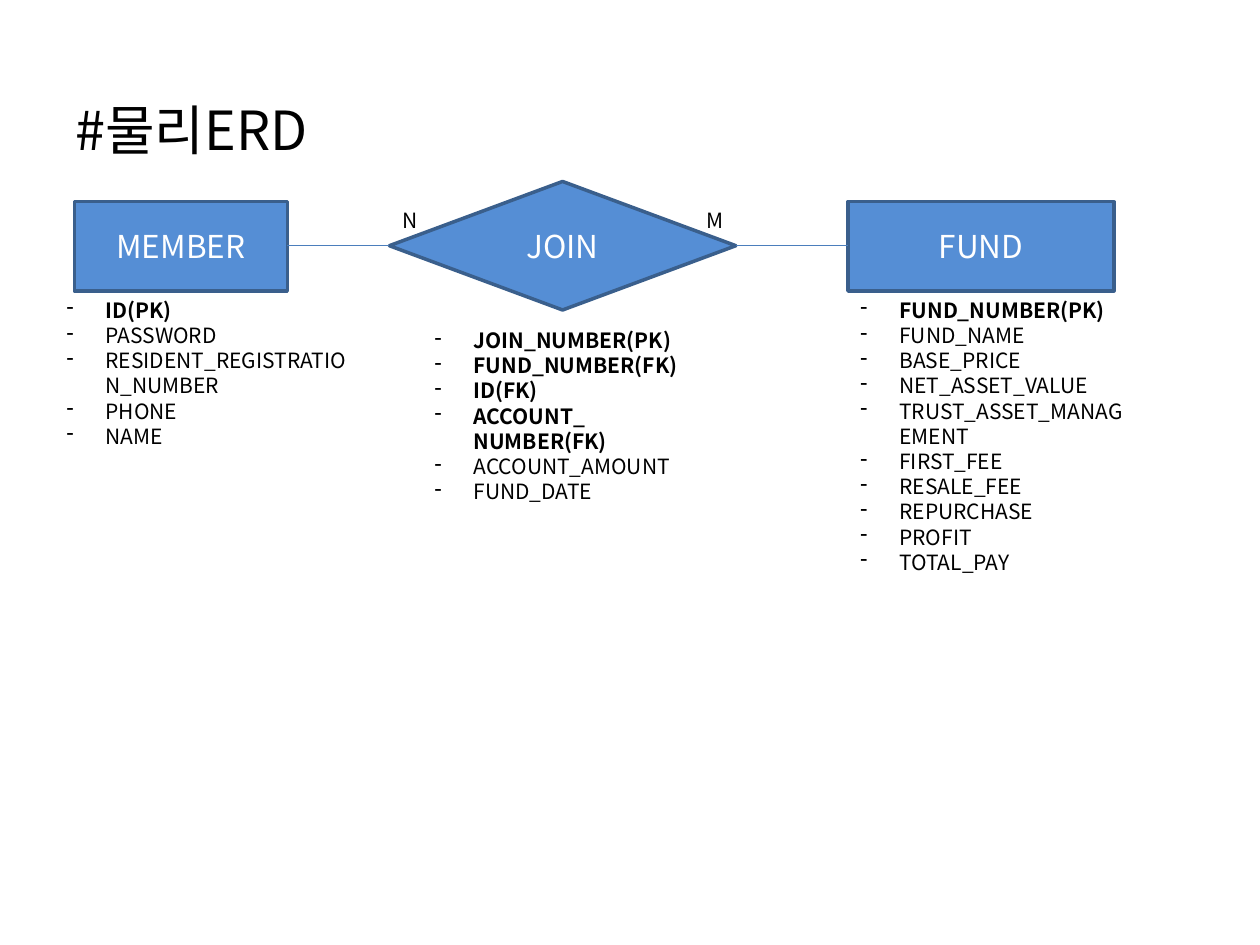
"""Build the physical ERD slide: two entities, their relationship and fields."""
import pptx
import pptx.util
import pptx.dml.color
import pptx.enum.shapes
import pptx.enum.text
import pptx.oxml.ns
import lxml.etree

Inches = pptx.util.Inches
Pt = pptx.util.Pt
Shape = pptx.enum.shapes.MSO_SHAPE
Align = pptx.enum.text.PP_ALIGN
Anchor = pptx.enum.text.MSO_ANCHOR
qn = pptx.oxml.ns.qn

theme = {
    "font": "Noto Sans CJK KR",
    "fill": "558ED5", "edge": "3A5F8C", "link": "4B7EBC",
    "light": "FFFFFF", "dark": "000000",
    "title": 30.8, "name": 18, "body": 12,
}


def color(key):
    return pptx.dml.color.RGBColor.from_string(theme[key])


def write(par, text, size, ink="dark", bold=False):
    run = par.add_run()
    run.text = text
    run.font.name = theme["font"]
    run.font.size = Pt(theme[size])
    run.font.bold = bold
    run.font.color.rgb = color(ink)
    east = lxml.etree.SubElement(run.font._element, qn("a:ea"))
    east.set("typeface", theme["font"])


deck = pptx.Presentation()
deck.slide_width, deck.slide_height = Inches(10), Inches(7.5)
slide = deck.slides.add_slide(deck.slide_layouts[6])
shapes = slide.shapes

nodes = [
    ("MEMBER", Shape.RECTANGLE, (0.59, 1.6, 1.69, 0.71), (0.43, 2.31, 2.52, 1.31),
     ["ID(PK)", "PASSWORD", "RESIDENT_REGISTRATION_NUMBER", "PHONE", "NAME"]),
    ("JOIN", Shape.DIAMOND, (3.09, 1.44, 2.75, 1.02), (3.35, 2.55, 2.49, 1.51),
     ["JOIN_NUMBER(PK)", "FUND_NUMBER(FK)", "ID(FK)", "ACCOUNT_ NUMBER(FK)",
      "ACCOUNT_AMOUNT", "FUND_DATE"]),
    ("FUND", Shape.RECTANGLE, (6.73, 1.6, 2.11, 0.71), (6.73, 2.31, 2.36, 2.32),
     ["FUND_NUMBER(PK)", "FUND_NAME", "BASE_PRICE", "NET_ASSET_VALUE",
      "TRUST_ASSET_MANAGEMENT", "FIRST_FEE", "RESALE_FEE", "REPURCHASE",
      "PROFIT", "TOTAL_PAY"]),
]

for name, kind, place, area, fields in nodes:
    node = shapes.add_shape(kind, *map(Inches, place))
    node.shadow.inherit = False
    node.fill.solid()
    node.fill.fore_color.rgb = color("fill")
    node.line.color.rgb = color("edge")
    node.line.width = Pt(2)
    node.text_frame.vertical_anchor = Anchor.MIDDLE
    par = node.text_frame.paragraphs[0]
    par.alignment = Align.CENTER
    write(par, name, "name", "light")

    frame = shapes.add_textbox(*map(Inches, area)).text_frame
    frame.word_wrap = True
    for rank, field in enumerate(fields):
        par = frame.paragraphs[0] if rank == 0 else frame.add_paragraph()
        props = par._p.get_or_add_pPr()
        props.set("marL", str(Inches(0.31)))
        props.set("indent", str(Inches(-0.31)))
        lxml.etree.SubElement(props, qn("a:buFontTx"))
        lxml.etree.SubElement(props, qn("a:buChar")).set("char", "-")
        write(par, field, "body", bold=field.endswith(("(PK)", "(FK)")))

mid = Inches(1.95)
for (_, _, start, _, _), (_, _, end, _, _) in zip(nodes, nodes[1:]):
    link = shapes.add_connector(pptx.enum.shapes.MSO_CONNECTOR.STRAIGHT,
                                Inches(start[0] + start[2]), mid, Inches(end[0]), mid)
    link.line.color.rgb = color("link")
    link.line.width = Pt(0.75)
    lxml.etree.SubElement(link._element.spPr, qn("a:effectLst"))

labels = [
    ("N", "body", (3.09, 1.6, 0.33, 0.3), Align.CENTER),
    ("M", "body", (5.51, 1.6, 0.33, 0.3), Align.CENTER),
    ("#물리ERD", "title", (0.5, 0.72, 9, 0.61), Align.LEFT),
]
for text, size, area, align in labels:
    frame = shapes.add_textbox(*map(Inches, area)).text_frame
    frame.word_wrap = True
    frame.vertical_anchor = Anchor.MIDDLE
    frame.paragraphs[0].alignment = align
    write(frame.paragraphs[0], text, size)

deck.save("out.pptx")
